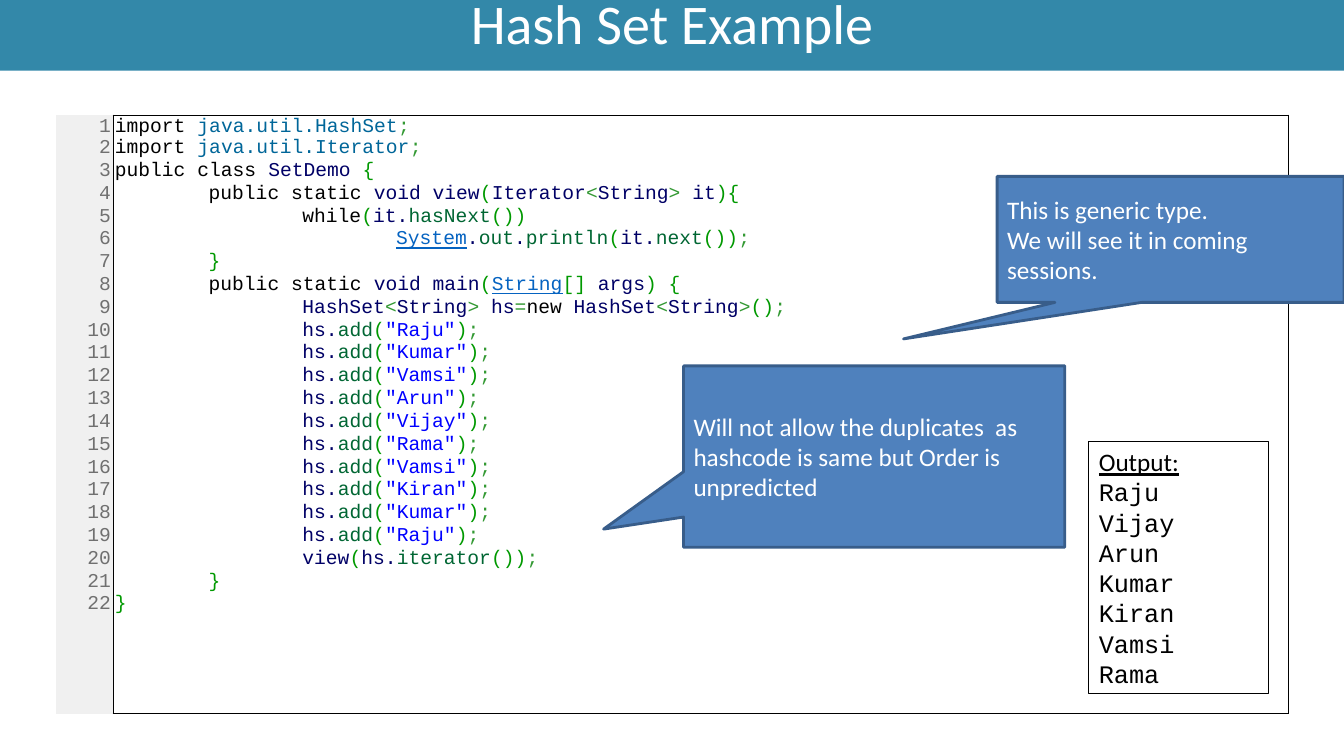
from lxml.etree import SubElement
from pptx import Presentation
from pptx.dml.color import RGBColor
from pptx.enum.shapes import MSO_SHAPE as Shape
from pptx.enum.text import MSO_ANCHOR as Anchor, MSO_AUTO_SIZE as AutoSize, PP_ALIGN as Align
from pptx.oxml.ns import qn
from pptx.util import Inches, Pt

COLORS = {
    "band": "3388A9", "callout": "4F81BD", "callout line": "385D8A",
    "gutter": "F0F0F0", "number": "707070", "white": "FFFFFF", "black": "000000",
}

# Syntax colours, keyed by the letter that opens each token
SYNTAX = {
    "k": "000000",  # keyword
    "p": "006699",  # package
    "n": "000066",  # name
    "m": "006633",  # member
    "b": "009900",  # bracket
    "o": "339933",  # operator
    "s": "0000FF",  # string
    "u": "0563C1",  # underlined class
}

ADDED = ["Raju", "Kumar", "Vamsi", "Arun", "Vijay", "Rama", "Vamsi", "Kiran", "Kumar", "Raju"]
OUTPUT = ["Raju", "Vijay", "Arun", "Kumar", "Kiran", "Vamsi", "Rama"]

# Indent level and tokens of each code line
CODE = [
    (0, "kimport |pjava.util.HashSet|o;"),
    (0, "kimport |pjava.util.Iterator|o;"),
    (0, "kpublic class |nSetDemo |b{"),
    (1, "kpublic static|n void view|b(|nIterator|o<|nString|o>|n it|b){"),
    (2, "kwhile|b(|nit.|mhasNext|b())"),
    (3, "uSystem|n.|mout|n.|mprintln|b(|nit.|mnext|b())|o;"),
    (1, "b}"),
    (1, "kpublic static|n void main|b(|uString|b[] |nargs|b) {"),
    (2, "nHashSet|o<|nString|o> |nhs|o=|knew |nHashSet|o<|nString|o>|b()|o;"),
    *[(2, f'nhs.|madd|b(|s"{name}"|b)|o;') for name in ADDED],
    (2, "nview|b(|nhs.|miterator|b())|o;"),
    (1, "b}"),
    (0, "b}"),
]
INDENT = Inches(0.93)

MONO = {"name": "Courier New", "size": Pt(14)}
LABEL = {"name": "Calibri", "size": Pt(18)}
RESULT = {"name": "Courier New", "size": Pt(18)}
HEADING = {"name": "Calibri", "size": Pt(40)}


def set_all(target, values):
    for key, value in values.items():
        setattr(target, key, value)


def add_span(para, text, color, font):
    span = para.add_run()
    span.text = text
    set_all(span.font, font)
    span.font.color.rgb = RGBColor.from_string(color)


def next_para(frame, index):
    return frame.paragraphs[0] if index == 0 else frame.add_paragraph()


def fill_solid(target, color):
    target.fill.solid()
    target.fill.fore_color.rgb = RGBColor.from_string(color)


def add_title(page, text):
    title = page.shapes.title
    set_all(title, {"left": 0, "top": 0, "width": Inches(13.33), "height": Inches(0.7)})
    fill_solid(title, COLORS["band"])
    set_all(title.text_frame, {"auto_size": AutoSize.NONE, "vertical_anchor": Anchor.MIDDLE})
    para = title.text_frame.paragraphs[0]
    set_all(para, {"alignment": Align.CENTER, "line_spacing": Pt(29.6)})
    add_span(para, text, COLORS["white"], HEADING)


def add_box(page, kind, place, line, line_width, anchor):
    box = page.shapes.add_shape(kind, *map(Inches, place))
    box.shadow.inherit = False
    box.line.color.rgb = RGBColor.from_string(line)
    box.line.width = Pt(line_width)
    set_all(box.text_frame, {"word_wrap": True, "vertical_anchor": anchor})
    return box


def write_lines(box, lines, color):
    for index, (text, font) in enumerate(lines):
        para = next_para(box.text_frame, index)
        para.alignment = Align.LEFT
        add_span(para, text, color, font)


def add_callout(page, place, tip, lines):
    box = add_box(page, Shape.RECTANGULAR_CALLOUT, place, COLORS["callout line"], 2, Anchor.MIDDLE)
    fill_solid(box, COLORS["callout"])
    for index, offset in enumerate(tip):
        box.adjustments[index] = offset
    write_lines(box, [(text, LABEL) for text in lines], COLORS["white"])


def add_output(page, place):
    box = add_box(page, Shape.RECTANGLE, place, COLORS["black"], 0.75, Anchor.TOP)
    box.fill.background()
    lines = [("Output:", {**LABEL, "underline": True})]
    write_lines(box, lines + [(name, RESULT) for name in OUTPUT], COLORS["black"])


def set_borders(cell, drawn):
    props = cell._tc.get_or_add_tcPr()
    for side in "LRTB":
        edge = SubElement(props, qn(f"a:ln{side}"), w=str(Pt(0.45)))
        if side in drawn:
            paint = SubElement(edge, qn("a:solidFill"))
            SubElement(paint, qn("a:srgbClr"), val=COLORS["black"])
        else:
            SubElement(edge, qn("a:noFill"))


def code_para(cell, index, alignment):
    para = next_para(cell.text_frame, index)
    set_all(para, {"alignment": alignment, "line_spacing": 1.03 if index else 0.89})
    return para


def add_code(page):
    place = map(Inches, (0.56, 1.14, 12.22, 5.94))
    table = page.shapes.add_table(1, 2, *place).table
    set_all(table, {"first_row": False, "horz_banding": False})
    for column, width in zip(table.columns, (0.56, 11.66)):
        column.width = Inches(width)
    gutter, listing = table.cell(0, 0), table.cell(0, 1)
    sides = ("margin_left", "margin_right", "margin_top", "margin_bottom")
    for cell, drawn in ((gutter, "R"), (listing, "LRTB")):
        set_all(cell, dict.fromkeys(sides, Inches(0.02)))
        set_borders(cell, drawn)
    fill_solid(gutter, COLORS["gutter"])
    listing.fill.background()

    # Line numbers beside coloured code
    for index, (level, tokens) in enumerate(CODE):
        number = code_para(gutter, index, Align.RIGHT)
        add_span(number, str(index + 1), COLORS["number"], MONO)
        para = code_para(listing, index, Align.LEFT)
        para._p.get_or_add_pPr().set("marL", str(level * INDENT))
        for token in tokens.split("|"):
            kind, text = token[0], token[1:]
            add_span(para, text, SYNTAX[kind], {**MONO, "underline": kind == "u"})


def main():
    deck = Presentation()
    set_all(deck, {"slide_width": Inches(13.33), "slide_height": Inches(7.5)})
    page = deck.slides.add_slide(deck.slide_layouts[5])

    add_title(page, "Hash Set Example")
    add_code(page)
    add_output(page, (10.8, 4.38, 1.78, 2.5))

    # Remarks on the code
    add_callout(page, (6.78, 3.63, 3.78, 1.8), (-0.71, 0.4),
                ["Will not allow the duplicates  as hashcode is same but Order is unpredicted"])
    add_callout(page, (9.89, 1.75, 3.44, 1.25), (-0.77, 0.79),
                ["This is generic type.", "We will see it in coming sessions."])
    deck.save("out.pptx")


main()
